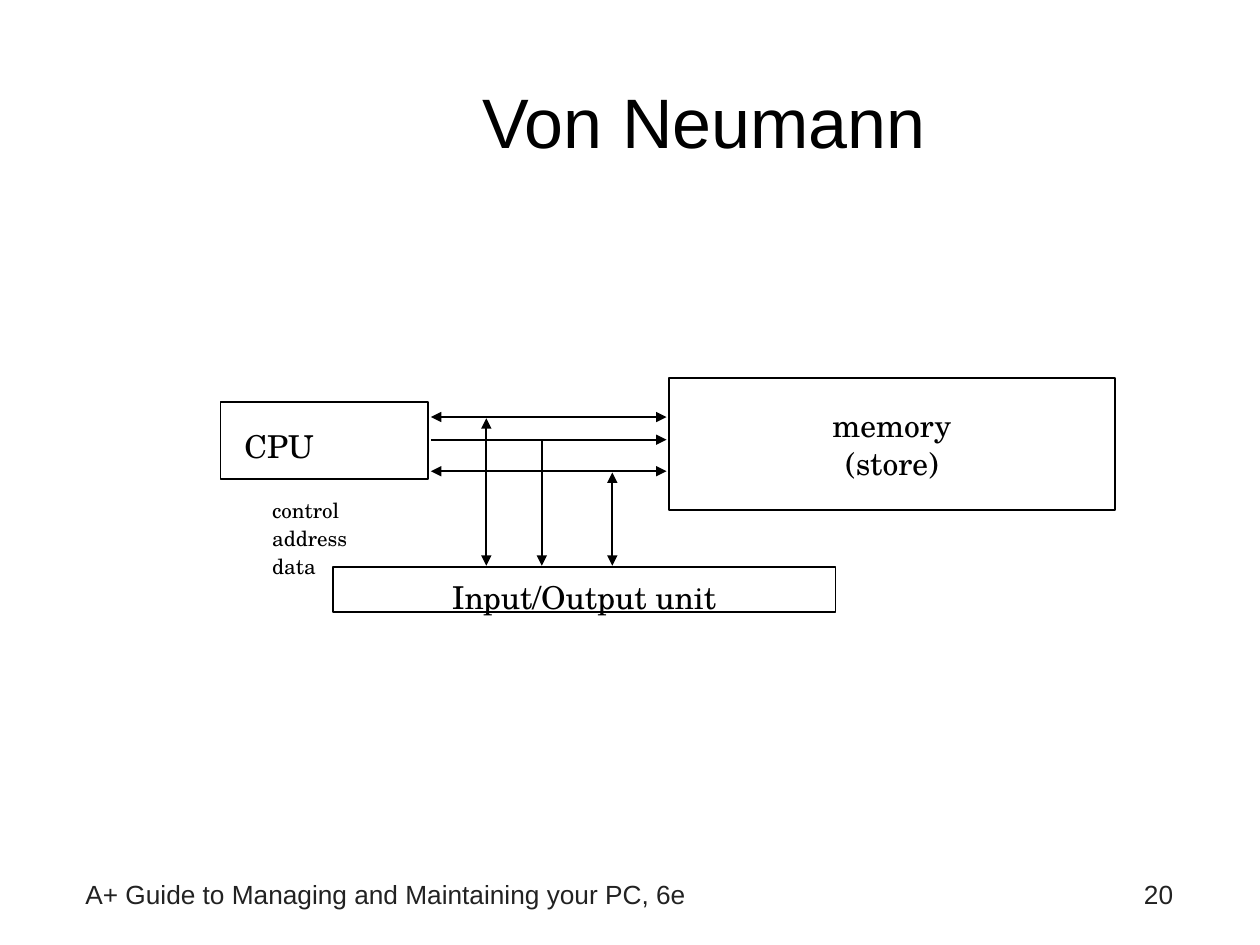
"""Build the Von Neumann architecture slide."""
from pptx import Presentation
from pptx.dml.color import RGBColor as RGB
from pptx.enum.shapes import MSO_CONNECTOR as CONN, MSO_SHAPE as SHAPE
from pptx.enum.text import MSO_ANCHOR as ANCHOR, MSO_AUTO_SIZE as FIT, PP_ALIGN as ALIGN
from pptx.oxml.ns import qn
from pptx.util import Inches, Pt
from lxml.etree import SubElement

THEME = {
    "black": RGB(0, 0, 0),
    "grey": RGB(0x22, 0x22, 0x22),
    "sans": "Arial",
    "serif": "TeX Gyre Schola",
    "title": Pt(40),
    "label": Pt(18),
    "footer": Pt(15),
    "bus": Pt(12),
    "line": Pt(1),
}

prs = Presentation()
prs.slide_width, prs.slide_height = Inches(10), Inches(7.5)
COL, ROW = prs.slide_width / 1000, prs.slide_height / 750


def cells(x, y, w, h):
    return [round(v) for v in (x * COL, y * ROW, w * COL, h * ROW)]


def write(sp, text, size, font, colour="black", align=ALIGN.LEFT, spacing=1.0,
          inset=(10, 5), wrap=True, anchor=ANCHOR.TOP, fit=FIT.NONE):
    tf = sp.text_frame
    tf.text = text
    dx, dy = round(inset[0] * COL), round(inset[1] * ROW)
    frame = {"margin_left": dx, "margin_right": dx, "margin_top": dy, "margin_bottom": dy,
             "auto_size": fit, "word_wrap": wrap, "vertical_anchor": anchor}
    for name, value in frame.items():
        setattr(tf, name, value)
    for p in tf.paragraphs:
        p.alignment, p.line_spacing = align, spacing
        for r in p.runs:
            for name, value in {"size": THEME[size], "name": THEME[font]}.items():
                setattr(r.font, name, value)
            r.font.color.rgb = THEME[colour]


s = prs.slides.add_slide(prs.slide_layouts[5])
title = s.shapes.title
title.left, title.top, title.width, title.height = cells(317, 67, 483, 58)
write(title, "Von Neumann", "title", "sans", align=ALIGN.CENTER, inset=(0, 0),
      anchor=ANCHOR.MIDDLE)

for box, text, align in [
    ((58, 692, 750, 42), "A+ Guide to Managing and Maintaining your PC, 6e", ALIGN.LEFT),
    ((808, 692, 133, 42), "20", ALIGN.RIGHT),
]:
    write(s.shapes.add_textbox(*cells(*box)), text, "footer", "sans", "grey", align)

units = {"cpu": (175, 319, 165, 61), "memory": (531, 300, 354, 105), "io": (264, 450, 399, 36)}
for unit, box in units.items():
    sp = s.shapes.add_shape(SHAPE.RECTANGLE, *cells(*box))
    sp.shadow.inherit = False
    sp.fill.background()
    sp.line.color.rgb, sp.line.width = THEME["black"], THEME["line"]
    if unit == "memory":
        write(sp, "memory\n(store)", "label", "serif", align=ALIGN.CENTER, wrap=False,
              anchor=ANCHOR.MIDDLE)

BOTH, END = ("headEnd", "tailEnd"), ("tailEnd",)
buses = [(331, 386, BOTH), (349, 430, END), (374, 486, BOTH)]
arrows = []
for y, x, ends in buses:
    arrows += [((342, y, 529, y), ends), ((x, y + 1, x, 449), ends)]
for (x1, y1, x2, y2), ends in arrows:
    sp = s.shapes.add_connector(CONN.STRAIGHT, *cells(x1, y1, x2, y2))
    sp.line.color.rgb, sp.line.width = THEME["black"], THEME["line"]
    for end in ends:
        SubElement(sp.line._get_or_add_ln(), qn(f"a:{end}"), type="triangle")
    SubElement(sp._element.spPr, qn("a:effectLst"))

for box, text, size, align, spacing in [
    ((187, 334, 90, 37), "CPU", "label", ALIGN.LEFT, 1.06),
    ((351, 454, 225, 37), "Input/Output unit", "label", ALIGN.CENTER, 1.06),
    ((209, 390, 90, 72), "control\naddress\ndata", "bus", ALIGN.LEFT, 1.11),
]:
    write(s.shapes.add_textbox(*cells(*box)), text, size, "serif", align=align, spacing=spacing,
          inset=(7, 3), fit=FIT.NONE)

prs.save("out.pptx")
